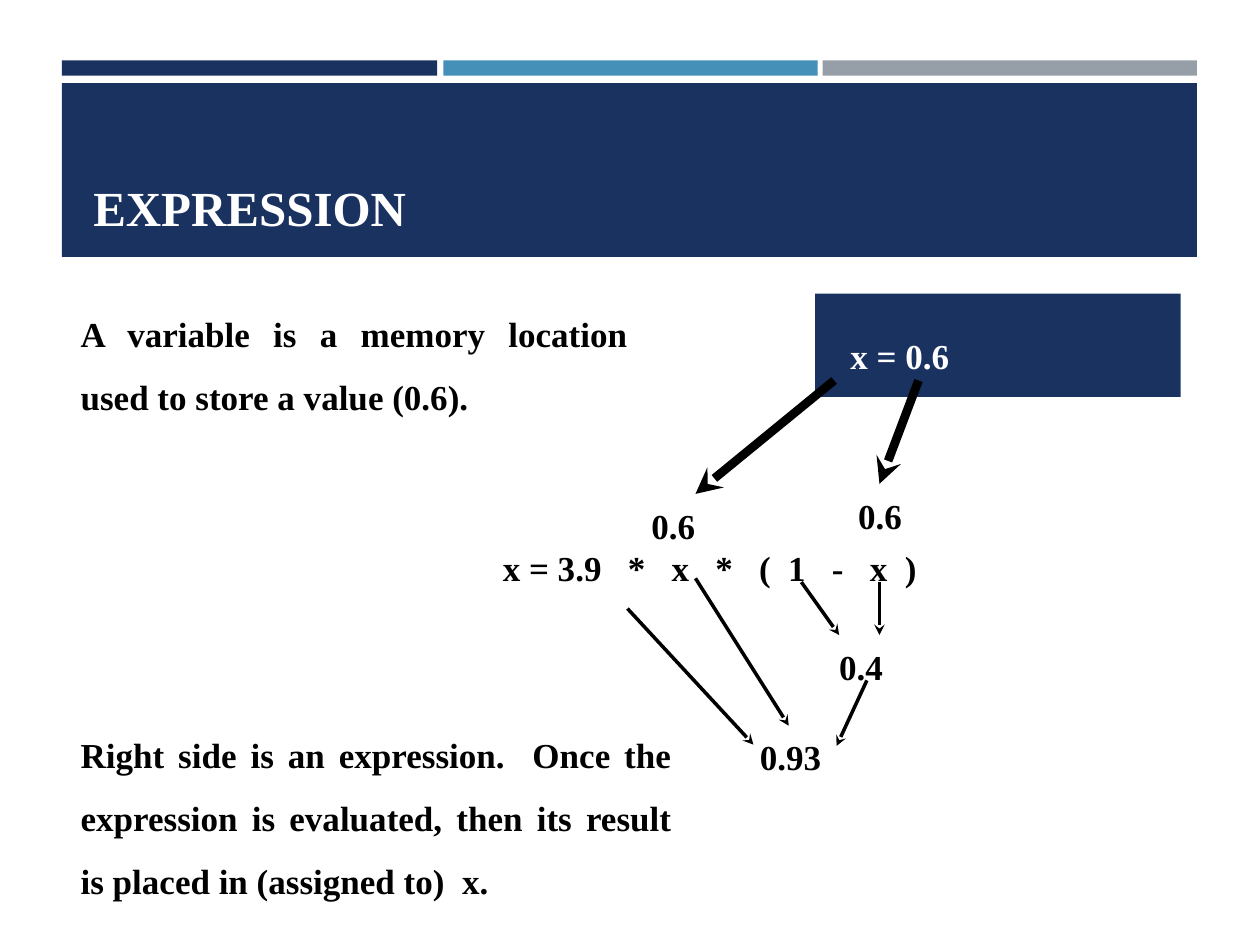
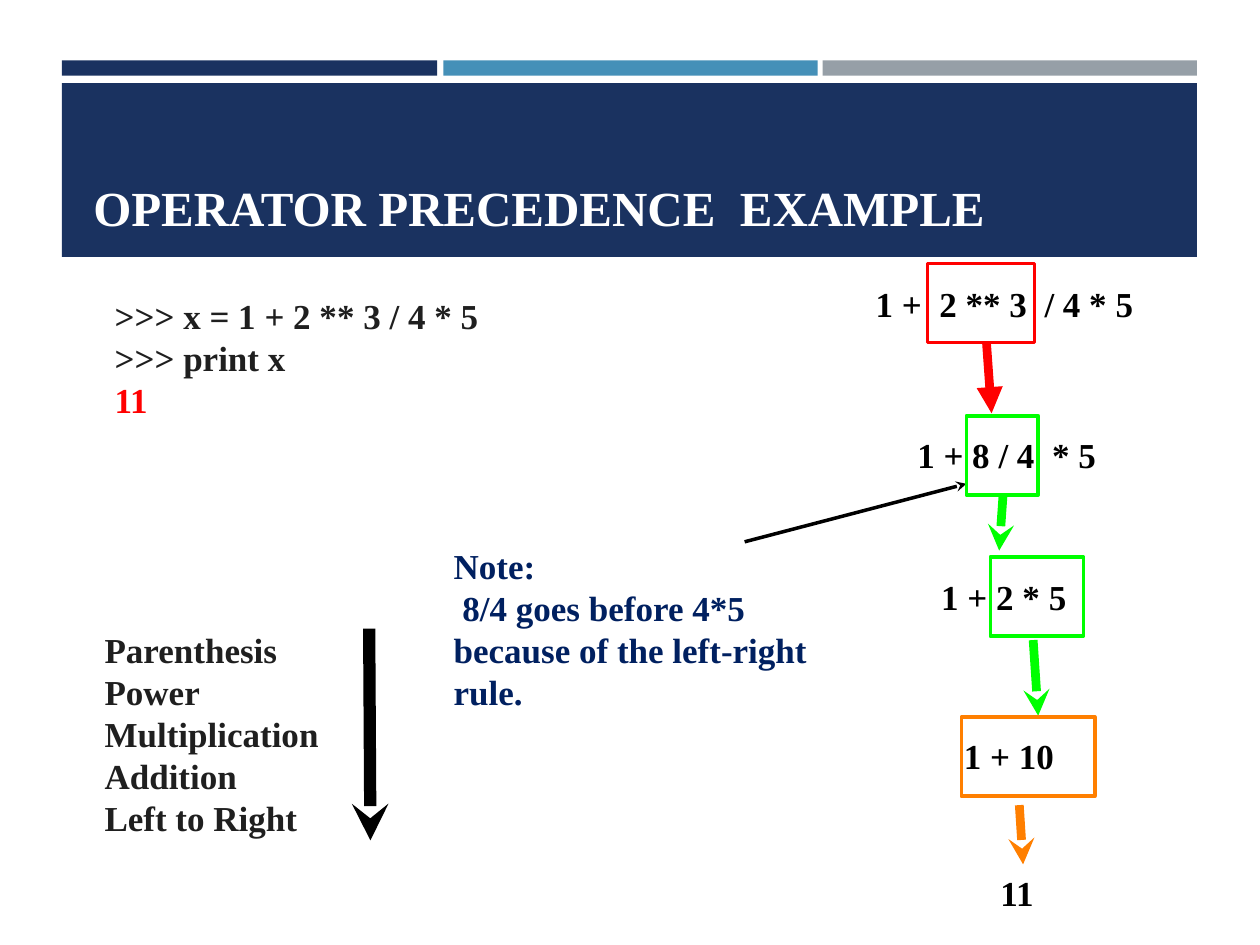
from dataclasses import dataclass

from lxml import etree
from pptx import Presentation
from pptx.dml.color import RGBColor
from pptx.enum.shapes import MSO_CONNECTOR, MSO_SHAPE
from pptx.enum.text import MSO_ANCHOR, MSO_AUTO_SIZE, PP_ALIGN
from pptx.oxml.ns import qn
from pptx.util import Inches, Pt

RECTANGLE = MSO_SHAPE.RECTANGLE
STRAIGHT = MSO_CONNECTOR.STRAIGHT
TOP, MIDDLE, BOTTOM = MSO_ANCHOR.TOP, MSO_ANCHOR.MIDDLE, MSO_ANCHOR.BOTTOM
LEFT, JUSTIFY = PP_ALIGN.LEFT, PP_ALIGN.JUSTIFY
NO_AUTOFIT = MSO_AUTO_SIZE.NONE


@dataclass(frozen=True)
class Theme:
    font: str = "Times New Roman"
    title_size: int = 28
    body_size: int = 20
    navy: str = "1A3260"
    blue: str = "4590B8"
    gray: str = "969FA7"
    white: str = "FFFFFF"
    black: str = "000000"
    charcoal: str = "1F1F1F"
    note: str = "002060"
    red: str = "FF0000"
    green: str = "00FF00"
    orange: str = "FF7F00"


theme = Theme()


def write_text(text_frame, text, color, size=theme.body_size, alignment=LEFT,
               spacing=1.0, anchor=MIDDLE, wrap=True, inset=0):
    text_frame.text = text
    text_frame.auto_size = NO_AUTOFIT
    text_frame.word_wrap = wrap
    text_frame.vertical_anchor = anchor
    text_frame.margin_left = text_frame.margin_right = Inches(inset)
    text_frame.margin_top = text_frame.margin_bottom = 0
    for paragraph in text_frame.paragraphs:
        paragraph.alignment = alignment
        paragraph.line_spacing = spacing
        for run in paragraph.runs:
            run.font.name = theme.font
            run.font.size = Pt(size)
            run.font.bold = True
            run.font.color.rgb = RGBColor.from_string(color)


def add_arrow(slide, tip, start, color, width, head="stealth"):
    arrow = slide.shapes.add_connector(STRAIGHT, *map(Inches, tip + start))
    arrow.line.color.rgb = RGBColor.from_string(color)
    arrow.line.width = Pt(width)
    line = arrow.line._get_or_add_ln()
    etree.SubElement(line, qn("a:headEnd"), type=head)
    etree.SubElement(arrow.element.spPr, qn("a:effectLst"))


presentation = Presentation()
presentation.slide_width = Inches(10)
presentation.slide_height = Inches(7.5)
layout = presentation.slide_layouts[5]

slides = []
for title_text, alignment, spacing in [
    ("EXPRESSION", JUSTIFY, 1.5),
    ("OPERATOR PRECEDENCE  EXAMPLE", LEFT, 1.0),
]:
    slide = presentation.slides.add_slide(layout)
    title = slide.shapes.title
    title.left, title.top = Inches(0.64), Inches(0.75)
    title.width, title.height = Inches(8.74), Inches(1.18)
    write_text(title.text_frame, title_text, theme.white, theme.title_size,
               alignment, spacing, BOTTOM, inset=0.1)
    title.text_frame.margin_top = title.text_frame.margin_bottom = Inches(0.05)
    slides.append(slide)
expression_slide, precedence_slide = slides

bands = [
    (0.49, 0.48, 2.98, 0.12, theme.navy),
    (3.52, 0.48, 2.97, 0.12, theme.blue),
    (6.53, 0.48, 2.97, 0.12, theme.gray),
    (0.49, 0.66, 9.01, 1.38, theme.navy),
]
for index, (*bounds, color) in enumerate(bands):
    band = expression_slide.shapes.add_shape(RECTANGLE, *map(Inches, bounds))
    band.shadow.inherit = False
    band.fill.solid()
    band.fill.fore_color.rgb = RGBColor.from_string(color)
    band.line.fill.background()
    band.element.nvSpPr.cNvPr.set("id", str(20 + index))
    layout.shapes.element.insert(2 + index, band.element)

variable_box = expression_slide.shapes.add_shape(
    RECTANGLE, Inches(6.47), Inches(2.33), Inches(2.9), Inches(0.82))
variable_box.shadow.inherit = False
variable_box.fill.solid()
variable_box.fill.fore_color.rgb = RGBColor.from_string(theme.navy)
variable_box.line.fill.background()
write_text(variable_box.text_frame, "x = 0.6", theme.white,
           alignment=JUSTIFY, spacing=1.5, inset=0.28)

expression_texts = [
    (0.64, 2.48, 4.34, 0.67, True,
     "A variable is a memory location used to store a value (0.6)."),
    (0.64, 5.76, 4.69, 1.29, True,
     "Right side is an expression.  Once the expression is evaluated, "
     "then its result is placed in (assigned to)  x."),
    (3.99, 4.17, 3.29, 0.5, False, "x = 3.9   *   x   *   (  1   -   x  )"),
    (5.17, 3.84, 0.35, 0.5, False, "0.6"),
    (6.81, 3.76, 0.35, 0.5, False, "0.6"),
    (6.66, 4.96, 0.35, 0.5, False, "0.4"),
    (6.03, 5.67, 0.49, 0.5, False, "0.93"),
]
for *bounds, wrap, text in expression_texts:
    text_box = expression_slide.shapes.add_textbox(*map(Inches, bounds))
    write_text(text_box.text_frame, text, theme.black,
               alignment=JUSTIFY, spacing=1.5, wrap=wrap)

evaluation_arrows = [
    ((5.52, 3.92), (6.62, 3.02), 5),
    ((6.98, 3.84), (7.29, 3.02), 5),
    ((5.98, 5.91), (4.98, 4.83), 2),
    ((6.26, 5.76), (5.52, 4.59), 2),
    ((6.64, 5.92), (6.88, 5.4), 2),
    ((6.98, 5.04), (6.98, 4.62), 2),
    ((6.66, 5.04), (6.36, 4.62), 2),
]
for tip, start, width in evaluation_arrows:
    add_arrow(expression_slide, tip, start, theme.black, width)

precedence_texts = [
    (0.83, 4.99, 1.7, 1.67, theme.charcoal, MIDDLE, False,
     "Parenthesis\nPower\nMultiplication\nAddition\nLeft to Right"),
    (0.91, 2.34, 2.89, 1.33, theme.charcoal, TOP, False,
     ">>> x = 1 + 2 ** 3 / 4 * 5\n>>> print x\n11"),
    (3.6, 4.31, 3.22, 1.36, theme.note, MIDDLE, True,
     "Note:\n 8/4 goes before 4*5 because of the left-right rule."),
    (6.95, 2.24, 2.05, 0.33, theme.black, MIDDLE, False, "1 +  2 ** 3  / 4 * 5"),
    (7.28, 3.44, 1.42, 0.33, theme.black, MIDDLE, False, "1 + 8 / 4  * 5"),
    (7.47, 4.57, 0.99, 0.33, theme.black, MIDDLE, False, "1 + 2 * 5"),
    (7.65, 5.83, 0.72, 0.33, theme.black, MIDDLE, False, "1 + 10"),
    (7.94, 6.92, 0.28, 0.33, theme.black, MIDDLE, False, "11"),
]
for *bounds, color, anchor, wrap, text in precedence_texts:
    text_box = precedence_slide.shapes.add_textbox(*map(Inches, bounds))
    write_text(text_box.text_frame, text, color, anchor=anchor, wrap=wrap)
    if text.startswith(">>>"):
        result = text_box.text_frame.paragraphs[-1].runs[0]
        result.font.color.rgb = RGBColor.from_string(theme.red)

precedence_arrows = [
    ((2.94, 6.67), (2.93, 4.99), theme.black, 7, "stealth"),
    ((7.87, 3.28), (7.83, 2.73), theme.red, 5, "triangle"),
    ((7.93, 4.37), (7.96, 3.94), theme.green, 5, "stealth"),
    ((8.24, 5.68), (8.2, 5.08), theme.green, 5, "stealth"),
    ((8.12, 6.86), (8.09, 6.39), theme.orange, 5, "stealth"),
    ((7.67, 3.84), (5.91, 4.3), theme.black, 2, "stealth"),
]
for arrow_settings in precedence_arrows:
    add_arrow(precedence_slide, *arrow_settings)

step_frames = [
    (7.36, 2.09, 0.85, theme.red),
    (7.67, 3.3, 0.57, theme.green),
    (7.86, 4.42, 0.74, theme.green),
    (7.63, 5.69, 1.06, theme.orange),
]
for left, top, width, color in step_frames:
    step_frame = precedence_slide.shapes.add_shape(
        RECTANGLE, Inches(left), Inches(top), Inches(width), Inches(0.63))
    step_frame.shadow.inherit = False
    step_frame.fill.background()
    step_frame.line.color.rgb = RGBColor.from_string(color)
    step_frame.line.width = Pt(2)

presentation.save("out.pptx")
